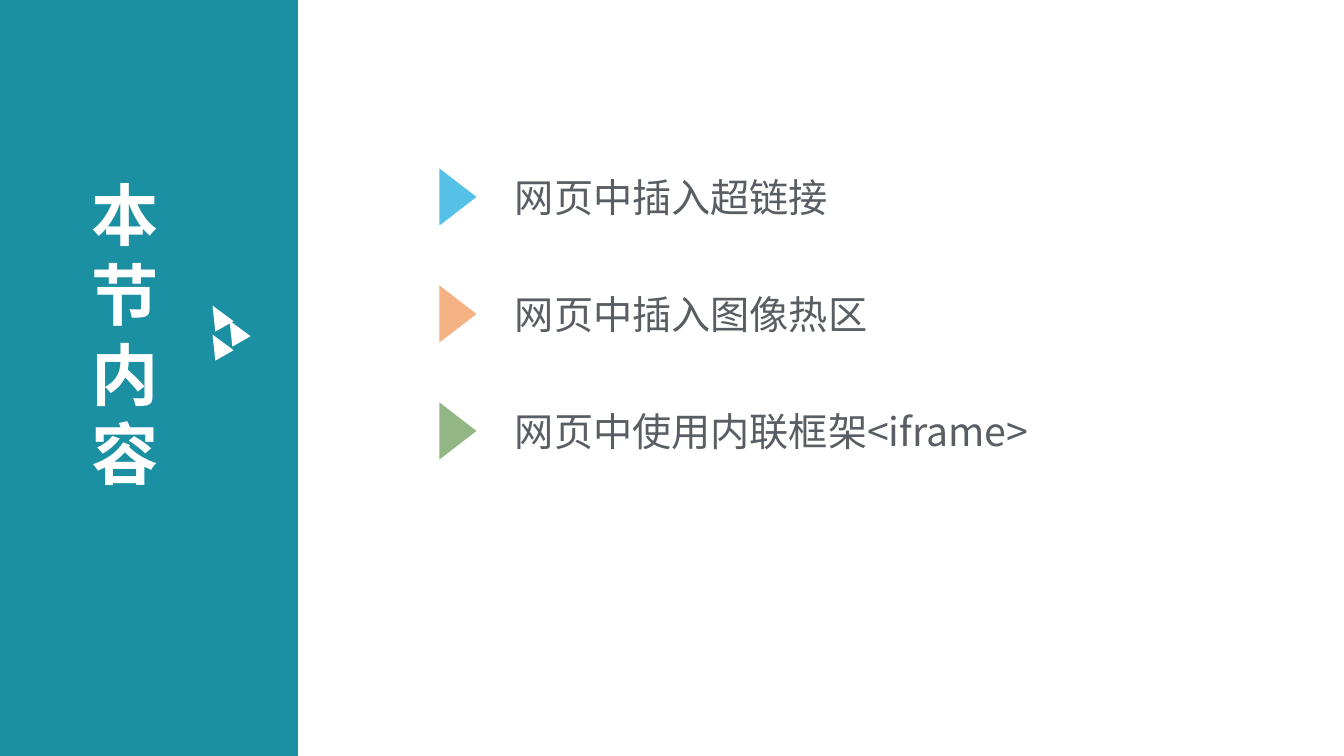
from pptx import Presentation
from pptx.dml.color import RGBColor
from pptx.enum.shapes import MSO_SHAPE
from pptx.enum.text import MSO_ANCHOR, PP_ALIGN
from pptx.oxml.ns import qn
from pptx.util import Pt

TITLE = "本节内容"
TOPICS = [
    ("网页中插入超链接", "55C1E7", 367),
    ("网页中插入图像热区", "F4B183", 495),
    ("网页中使用内联框架<iframe>", "93B784", 626),
]
ARROW_PIECES = [(208, 304), (208, 333), (225, 319)]

FONT = "Noto Sans CJK SC"
TEAL, WHITE, GREY = "1B90A2", "FFFFFF", "595E64"
PX = 9071
SLIDE_WIDTH, SLIDE_HEIGHT = 1344, 756
PANEL_WIDTH = 298
FIRST_CENTER, TOPIC_PITCH = 197, 117
MARKER_CENTER, MARKER_WIDTH, MARKER_HEIGHT = 458, 57, 37
LABEL_LEFT, LABEL_HEIGHT = 505, 57


def color(value):
    return RGBColor.from_string(value)


def box(left, top, width, height):
    return [round(value * PX) for value in (left, top, width, height)]


def add_solid(slide, kind, frame, fill, rotation=0):
    shape = slide.shapes.add_shape(kind, *frame)
    shape.shadow.inherit = False
    shape.fill.solid()
    shape.fill.fore_color.rgb = color(fill)
    shape.line.fill.background()
    shape.rotation = rotation
    return shape


def write(shape, text, size, fill, anchor, bold=False):
    frame = shape.text_frame
    frame.word_wrap = True
    frame.vertical_anchor = anchor
    paragraph = frame.paragraphs[0]
    paragraph.alignment = PP_ALIGN.LEFT
    run = paragraph.add_run()
    run.text = text
    run.font.name = FONT
    run.font.size = Pt(size)
    run.font.bold = bold
    run.font.color.rgb = color(fill)
    properties = run.font._element
    east_asian = properties.makeelement(qn("a:ea"), {"typeface": FONT})
    properties.find(qn("a:latin")).addnext(east_asian)
    return paragraph


def main():
    presentation = Presentation()
    presentation.slide_width = SLIDE_WIDTH * PX
    presentation.slide_height = SLIDE_HEIGHT * PX
    slide = presentation.slides.add_slide(presentation.slide_layouts[5])

    panel = add_solid(slide, MSO_SHAPE.RECTANGLE, box(0, 0, PANEL_WIDTH, SLIDE_HEIGHT), TEAL)
    title = slide.shapes.title
    title._element.addprevious(panel._element)
    title.left, title.top, title.width, title.height = box(81, 169, 132, 336)
    paragraph = write(title, TITLE, 48, WHITE, MSO_ANCHOR.TOP, bold=True)
    paragraph.line_spacing = Pt(57)

    for left, top in ARROW_PIECES:
        add_solid(slide, MSO_SHAPE.ISOSCELES_TRIANGLE, box(left, top, 21, 24), WHITE, 330.2)

    for index, (text, fill, width) in enumerate(TOPICS):
        center = FIRST_CENTER + index * TOPIC_PITCH
        marker = box(MARKER_CENTER - MARKER_WIDTH / 2, center - MARKER_HEIGHT / 2,
                     MARKER_WIDTH, MARKER_HEIGHT)
        add_solid(slide, MSO_SHAPE.ISOSCELES_TRIANGLE, marker, fill, 90)
        label = slide.shapes.add_textbox(
            *box(LABEL_LEFT, center - LABEL_HEIGHT / 2, width, LABEL_HEIGHT))
        write(label, text, 28, GREY, MSO_ANCHOR.MIDDLE)

    presentation.save("out.pptx")


if __name__ == "__main__":
    main()
